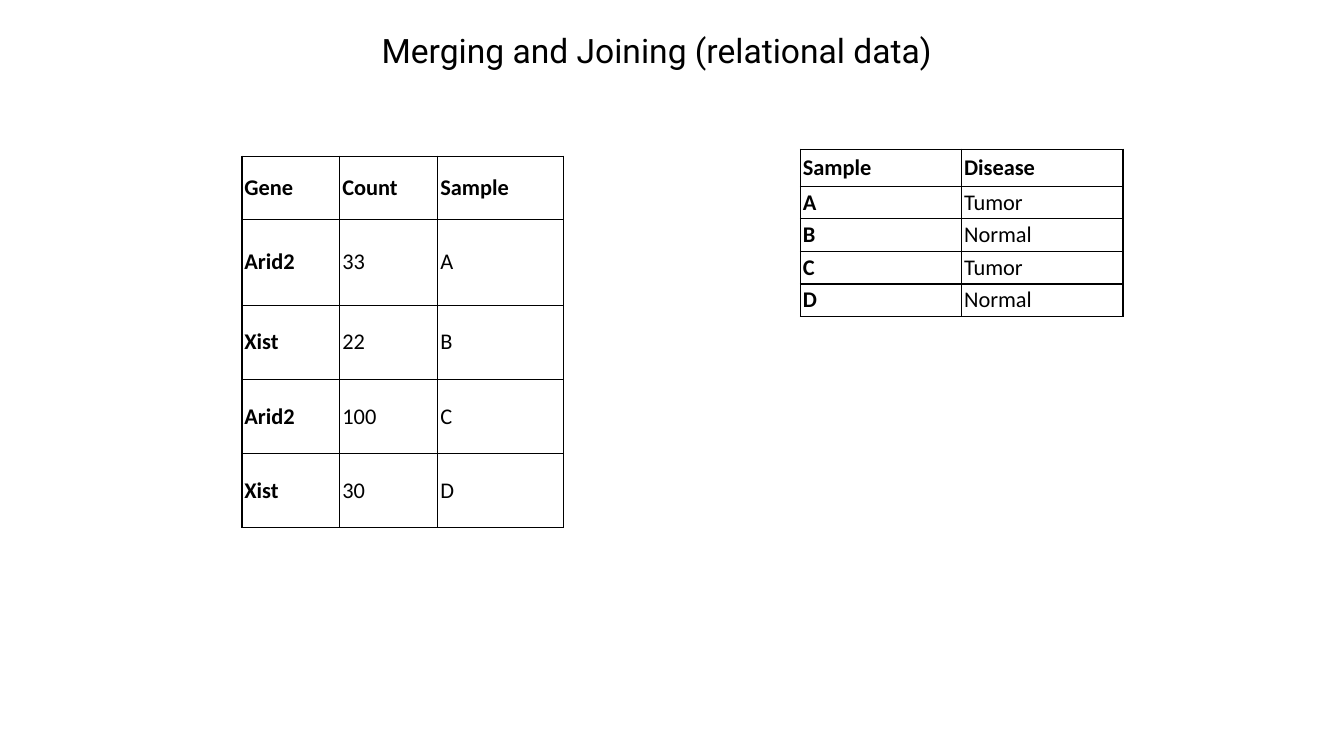
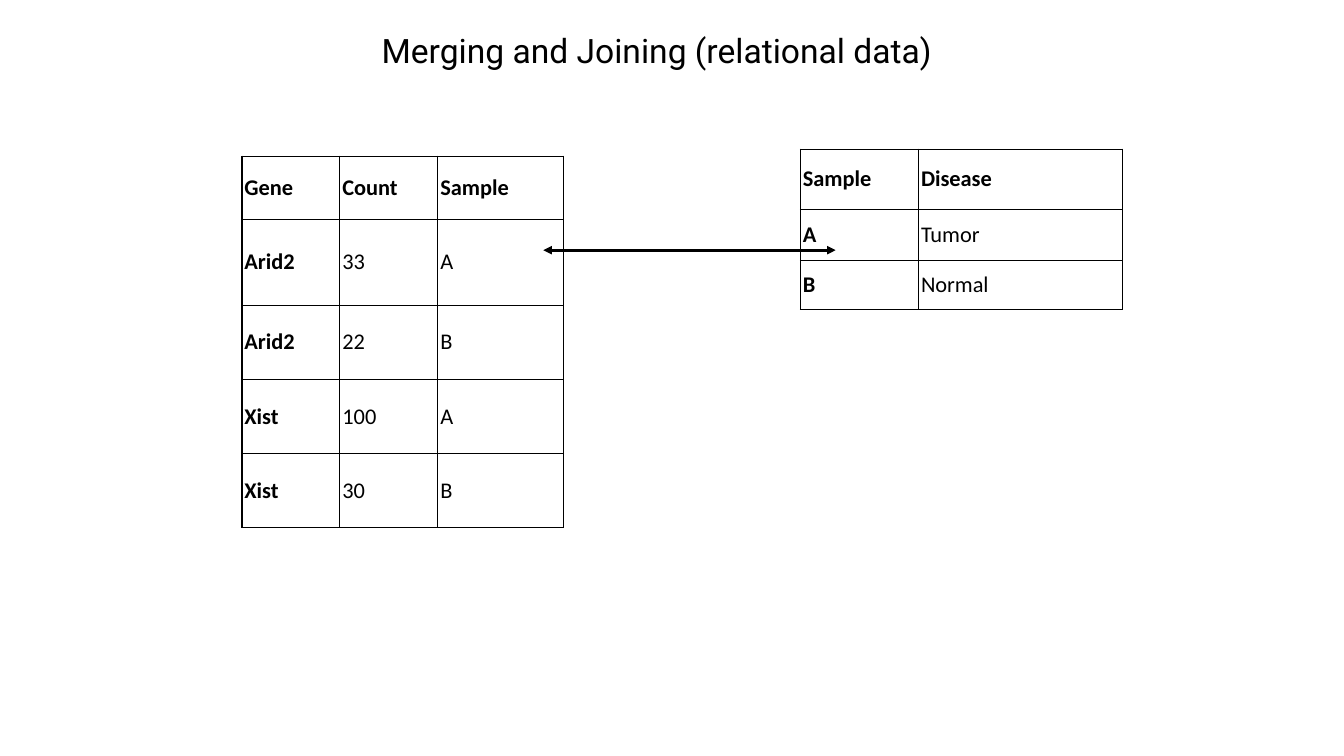
from pptx import Presentation
from pptx.dml.color import RGBColor
from pptx.enum import shapes, text
from pptx.oxml import xmlchemy as xml
from pptx.oxml import parse_xml
from pptx.oxml.ns import nsdecls, qn
from pptx.util import Pt

BLACK = RGBColor(0, 0, 0)
WHITE = RGBColor(255, 255, 255)


class Deck:
    """Hold the shared style and the current slide."""

    head, body = "Roboto", "Calibri"
    inset = Pt(1.8)

    def __init__(self):
        self.prs = Presentation()
        self.prs.slide_width, self.prs.slide_height = Pt(960), Pt(540)
        self.slide = None

    def font(self, para, name, size, bold=False):
        font = para.font
        font.name, font.size, font.bold = name, Pt(size), bold
        font.color.rgb = BLACK
        para.alignment = text.PP_ALIGN.LEFT

    def pad(self, item):
        item.margin_left = item.margin_right = self.inset
        item.margin_top = item.margin_bottom = self.inset
        item.vertical_anchor = text.MSO_ANCHOR.MIDDLE

    def page(self, title):
        self.slide = self.prs.slides.add_slide(self.prs.slide_layouts[5])
        fill = self.slide.background.fill
        fill.solid()
        fill.fore_color.rgb = WHITE
        box = self.slide.shapes.title
        box.left, box.top, box.width, box.height = Pt(270.7), Pt(19.4), Pt(414), Pt(33)
        frame = box.text_frame
        frame.text = title
        frame.word_wrap = True
        frame.auto_size = text.MSO_AUTO_SIZE.NONE
        self.pad(frame)
        self.font(frame.paragraphs[0], self.head, 24)

    def edge(self, cell):
        props = cell._tc.get_or_add_tcPr()
        for i, side in enumerate("LRTB"):
            props.insert(i, parse_xml(
                f'<a:ln{side} {nsdecls("a")} w="{Pt(1)}"><a:solidFill>'
                f'<a:srgbClr val="{BLACK}"/></a:solidFill></a:ln{side}>'))

    def table(self, left, top, cols, rows, data):
        grid = self.slide.shapes.add_table(
            len(rows), len(cols), Pt(left), Pt(top), Pt(sum(cols)), Pt(sum(rows))).table
        grid.first_row = grid.horz_banding = False
        for col, width in zip(grid.columns, cols):
            col.width = Pt(width)
        for row, height in zip(grid.rows, rows):
            row.height = Pt(height)
        for r, line in enumerate(data):
            for c, word in enumerate(line.split()):
                cell = grid.cell(r, c)
                cell.text = word
                cell.fill.background()
                self.pad(cell)
                self.edge(cell)
                self.font(cell.text_frame.paragraphs[0], self.body, 16, r == 0 or c == 0)

    def arrow(self, x1, y1, x2, y2):
        link = self.slide.shapes.add_connector(
            shapes.MSO_CONNECTOR.STRAIGHT, Pt(x1), Pt(y1), Pt(x2), Pt(y2))
        link.line.color.rgb = BLACK
        link.line.width = Pt(2)
        props = link._element.spPr
        for end in ("head", "tail"):
            props.find(qn("a:ln")).append(
                parse_xml(f'<a:{end}End {nsdecls("a")} type="triangle"/>'))
        props.append(parse_xml(f'<a:effectLst {nsdecls("a")}/>'))

    def counts(self, data):
        self.table(172.8, 111.6, [70, 70, 90], [45, 61.4, 53, 53, 53],
                   ["Gene Count Sample"] + data)

    def states(self, cols, rows, data):
        self.table(571.7, 106.6, cols, rows, ["Sample Disease"] + data)


def main():
    deck = Deck()
    title = "Merging and Joining (relational data)"
    deck.page(title)
    deck.counts(["Arid2 33 A", "Xist 22 B", "Arid2 100 C", "Xist 30 D"])
    deck.states([115.2, 115.2], [26.4] + [23.3] * 4,
                ["A Tumor", "B Normal", "C Tumor", "D Normal"])
    deck.page(title)
    deck.counts(["Arid2 33 A", "Arid2 22 B", "Xist 100 A", "Xist 30 B"])
    deck.states([84.4, 146], [42.8, 36.4, 35.2], ["A Tumor", "B Normal"])
    deck.arrow(388.1, 178.7, 596.9, 178.7)
    deck.prs.save("out.pptx")


if __name__ == "__main__":
    main()
